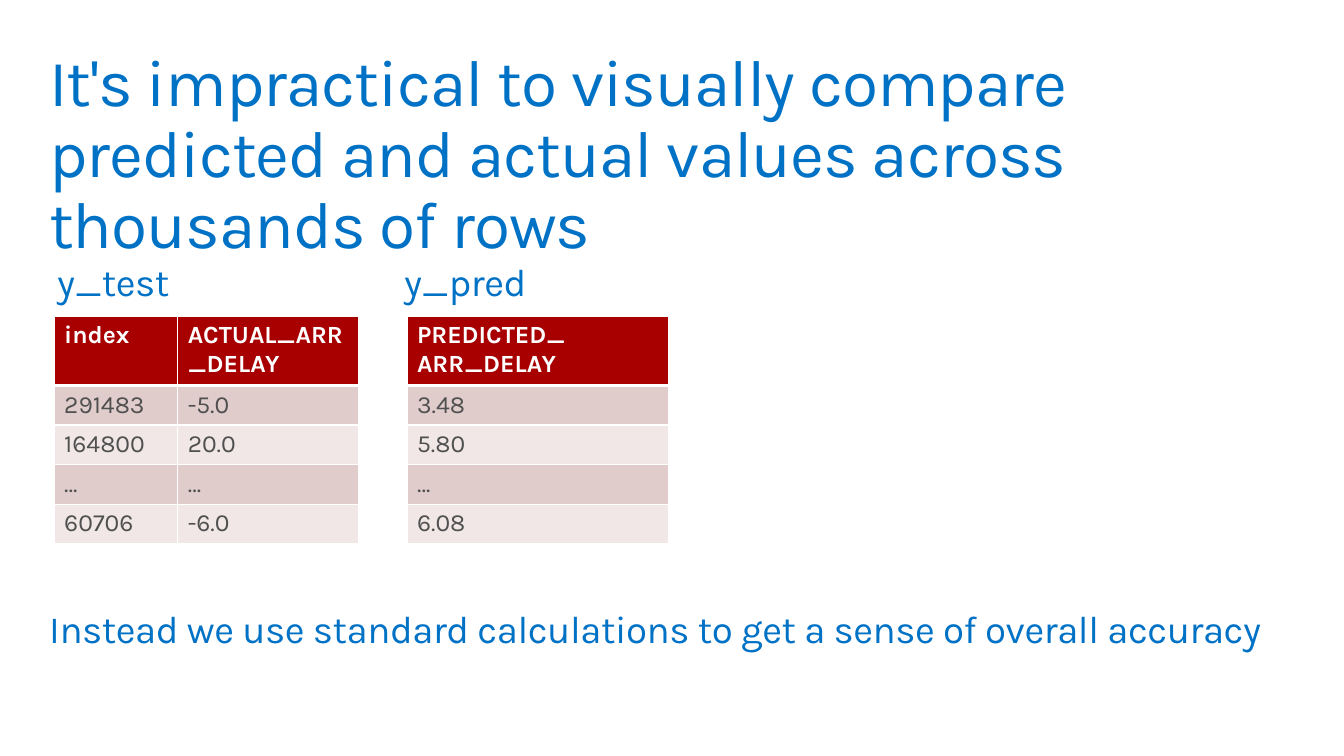
"""Build a slide on comparing predicted and actual values."""
from lxml import etree
from pptx import Presentation, util as u
from pptx.dml.color import RGBColor
from pptx.oxml.ns import qn

PX = 9144
FONT = "Karla"
BLUE, RED, WHITE, GREY = "0072C6", "A80000", "FFFFFF", "505050"
BANDS = ("E1CCCC", "F1E7E7")
HEADER_HEIGHT, ROW_HEIGHT = 68, 39
TABLE_TOP = 320
LABEL_TOP = 256


def px(length):
    """Turn px into EMU."""
    return u.Emu(length * PX)


def colour(value):
    """Turn a hex string into a colour."""
    return RGBColor.from_string(value)


def style_font(font, size, value, bold=False):
    """Set typeface, size, colour and weight."""
    font.name = FONT
    font.size = u.Pt(size)
    font.bold = bold
    font.color.rgb = colour(value)


def add_text(slide, words, left, top, width, height, size, tracking):
    """Add a blue text box, with tracking in hundredths of a point."""
    box = slide.shapes.add_textbox(px(left), px(top), px(width), px(height))
    frame = box.text_frame
    frame.word_wrap = True
    frame.margin_left = frame.margin_right = px(10)
    frame.margin_top = frame.margin_bottom = px(10)
    para = frame.paragraphs[0]
    para.line_spacing = 0.9
    style_font(para.font, size, BLUE)
    span = para.add_run()
    span.text = words
    span._r.get_or_add_rPr().set("spc", str(tracking))


def add_borders(cell, bottom):
    """Draw white cell borders, with the bottom width in points."""
    properties = cell._tc.get_or_add_tcPr()
    widths = {"lnL": 1, "lnR": 1, "lnT": 1, "lnB": bottom}
    for position, (side, width) in enumerate(widths.items()):
        line = etree.Element(qn(f"a:{side}"), w=str(u.Pt(width)))
        fill = etree.SubElement(line, qn("a:solidFill"))
        etree.SubElement(fill, qn("a:srgbClr"), val=WHITE)
        properties.insert(position, line)


def add_values(slide, left, widths, rows):
    """Add a table with a red header and banded rows."""
    height = HEADER_HEIGHT + ROW_HEIGHT * (len(rows) - 1)
    table = slide.shapes.add_table(
        len(rows), len(widths), px(left), px(TABLE_TOP), px(sum(widths)), px(height)
    ).table
    for column, width in zip(table.columns, widths):
        column.width = px(width)
    for index, row in enumerate(rows):
        header = index == 0
        table.rows[index].height = px(HEADER_HEIGHT if header else ROW_HEIGHT)
        for number, words in enumerate(row):
            cell = table.cell(index, number)
            cell.text = words
            cell.fill.solid()
            cell.fill.fore_color.rgb = colour(RED if header else BANDS[(index - 1) % 2])
            style_font(cell.text_frame.paragraphs[0].font, 18, WHITE if header else GREY, header)
            add_borders(cell, 3 if index <= 0 else 1)


def main():
    """Build and save the deck."""
    deck = Presentation()
    deck.slide_width, deck.slide_height = px(1360), px(765)
    slide = deck.slides.add_slide(deck.slide_layouts[6])
    add_text(
        slide,
        "It's impractical to visually compare predicted and actual values across thousands of rows",
        40, 40, 1280, 220, 48, -70,
    )
    add_text(slide, "y_test", 48, LABEL_TOP, 300, 62, 28, -30)
    add_text(slide, "y_pred", 399, LABEL_TOP, 300, 62, 28, -30)
    add_values(slide, 55, (125, 183), (
        ("index", "ACTUAL_ARR_DELAY"),
        ("291483", "-5.0"),
        ("164800", "20.0"),
        ("…", "…"),
        ("60706", "-6.0"),
    ))
    add_values(slide, 412, (265,), (
        ("PREDICTED_ ARR_DELAY",),
        ("3.48",),
        ("5.80",),
        ("…",),
        ("6.08",),
    ))
    add_text(
        slide,
        "Instead we use standard calculations to get a sense of overall accuracy",
        40, 608, 1280, 62, 28, -30,
    )
    deck.save("out.pptx")


if __name__ == "__main__":
    main()
